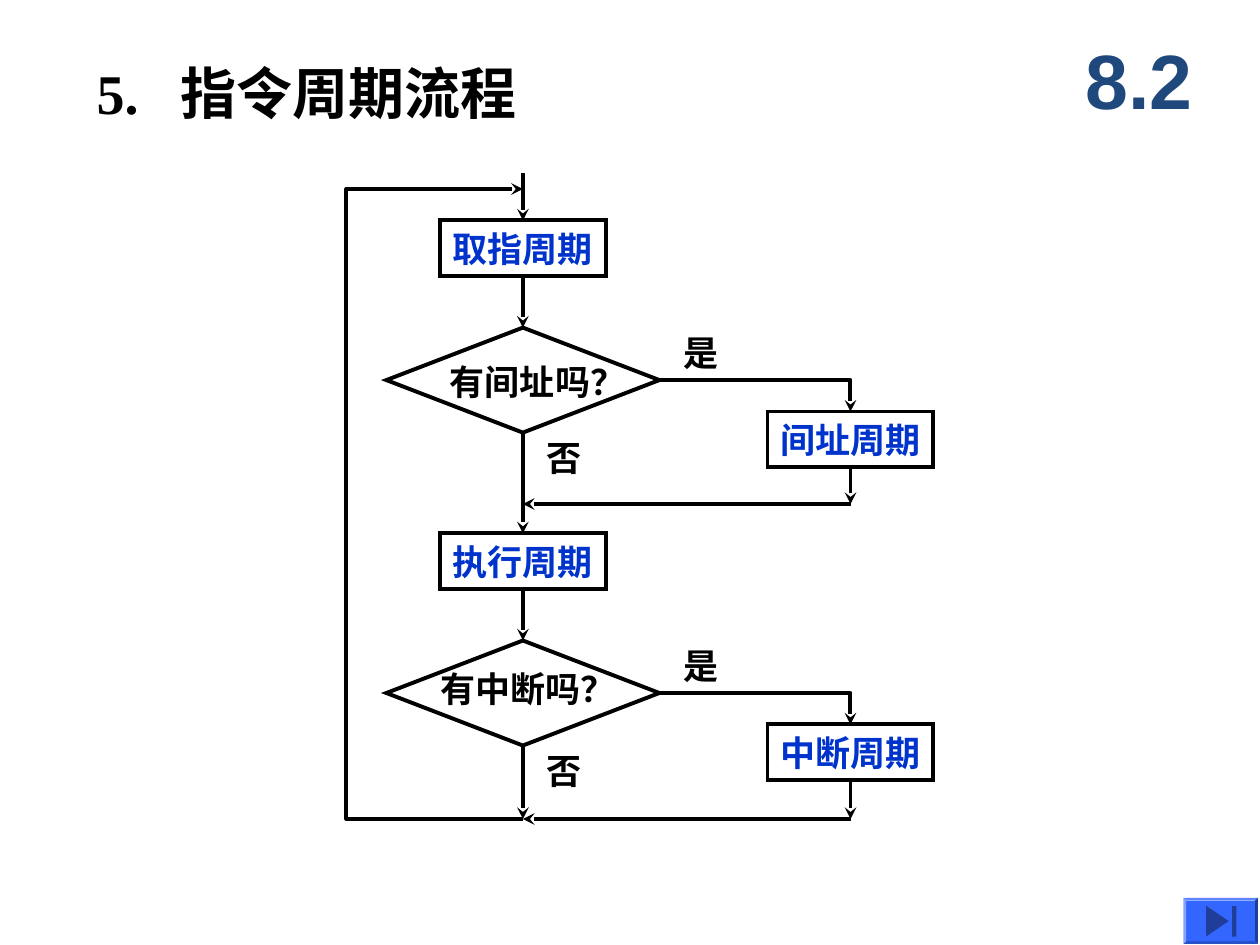
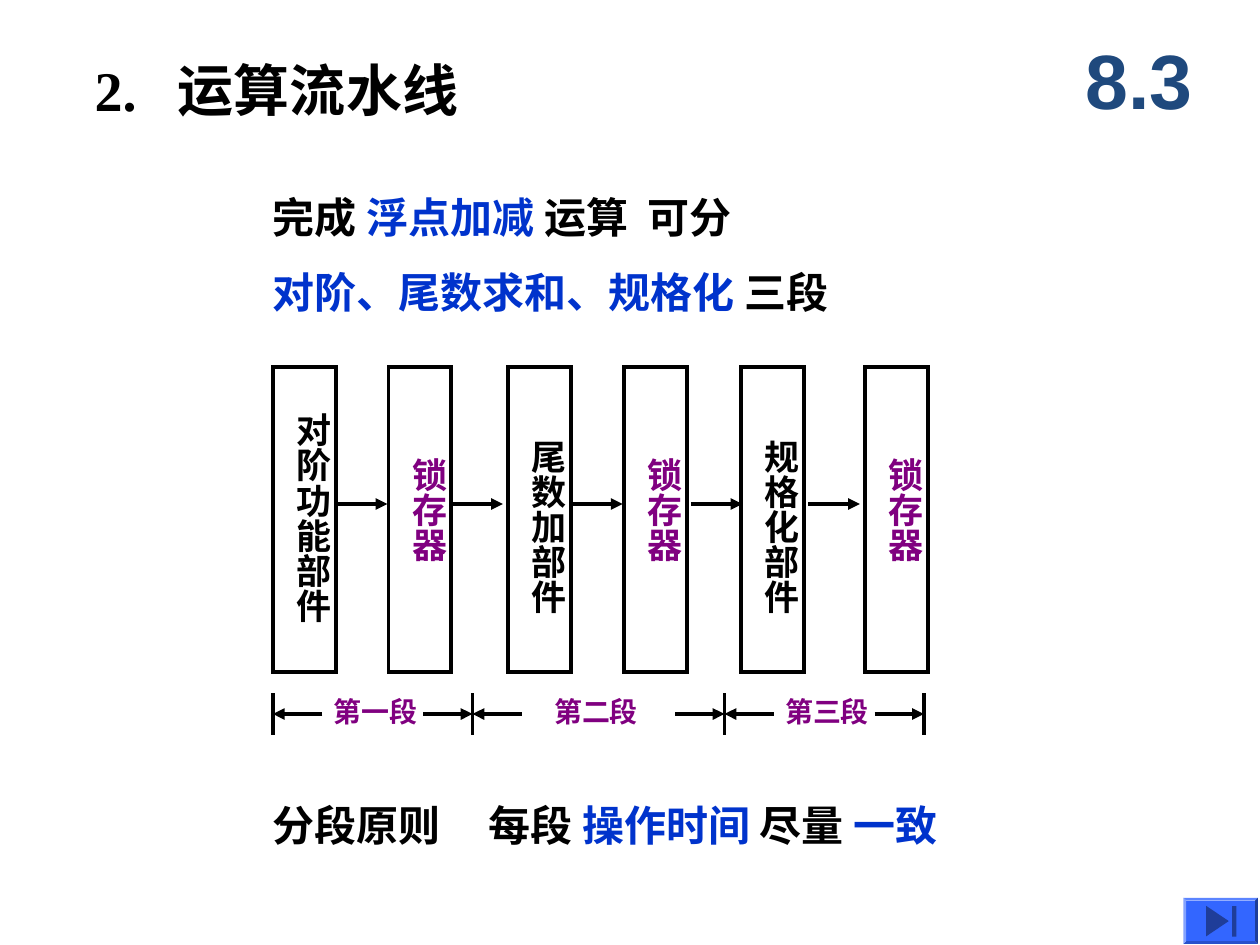
"""Build two slides: the instruction cycle flowchart and the arithmetic pipeline."""
from dataclasses import dataclass

from lxml import etree
from pptx import Presentation
from pptx import util as u
from pptx.dml.color import RGBColor
from pptx.enum import shapes, text
from pptx.oxml import ns


@dataclass(frozen=True)
class Theme:
    ink: str = "000000"
    accent: str = "0033CC"
    stage: str = "800080"
    section: str = "1F497D"
    button: str = "3366FF"
    icon: str = "1F3D99"
    body_font: str = "Times New Roman"
    section_font: str = "Arial"
    section_size: int = 44
    title_size: int = 32
    body_size: int = 24
    label_size: int = 20
    note_size: int = 16
    line: float = 2.25


T = Theme()
SHAPE = shapes.MSO_SHAPE
CENTER = text.PP_ALIGN.CENTER
MIDDLE = text.MSO_ANCHOR.MIDDLE

prs = Presentation()
prs.slide_width, prs.slide_height = u.Inches(10), u.Inches(7.5)
COLUMNS = 120
cell = prs.slide_width // COLUMNS


def write(s, words, box, kind=None, size=T.label_size, colors=(T.ink, T.accent),
          font=T.body_font, align=None, anchor=text.MSO_ANCHOR.TOP, wrap=False,
          inset=(1.2, 0.6, 1.2, 0.6), spacing=None, tab=None, vert=None):
    """Write words in a text box or outlined shape; each | switches the colour."""
    area = [int(v * cell) for v in box]
    if kind is None:
        sp = s.shapes.add_textbox(*area)
    else:
        sp = s.shapes.add_shape(kind, *area)
        sp.shadow.inherit = False
        sp.fill.background()
        sp.line.color.rgb = RGBColor.from_string(T.ink)
        sp.line.width = u.Pt(T.line)
        etree.SubElement(sp.line._get_or_add_ln(), ns.qn("a:miter"), lim="800000")
    tf = sp.text_frame
    tf.word_wrap, tf.vertical_anchor = wrap, anchor
    tf.margin_left, tf.margin_top, tf.margin_right, tf.margin_bottom = [
        int(v * cell) for v in inset]
    if vert:
        sp.element.txBody.bodyPr.set("vert", vert)
    for i, row in enumerate(words.split("\n")):
        p = tf.add_paragraph() if i else tf.paragraphs[0]
        p.alignment = align or text.PP_ALIGN.LEFT
        p.line_spacing = spacing
        if tab:
            tabs = etree.SubElement(p._p.get_or_add_pPr(), ns.qn("a:tabLst"))
            etree.SubElement(tabs, ns.qn("a:tab"), pos=str(int(tab * cell)), algn="l")
        for j, part in enumerate(row.split("|")):
            if part:
                r = p.add_run()
                r.text = part
                r.font.name, r.font.size, r.font.bold = font, u.Pt(size), True
                r.font.color.rgb = RGBColor.from_string(colors[j % 2])
    return sp


def link(s, points, arrow=None, begin=None, end=None):
    """Draw a straight connector or a bent path, with an optional arrowhead."""
    pts = [(int(x * cell), int(y * cell)) for x, y in points]
    if len(pts) == 2:
        c = s.shapes.add_connector(shapes.MSO_CONNECTOR.STRAIGHT, *pts[0], *pts[1])
        if begin:
            c.begin_connect(*begin)
        if end:
            c.end_connect(*end)
        etree.SubElement(c.element.spPr, ns.qn("a:effectLst"))
    else:
        outline = s.shapes.build_freeform(*pts[0])
        outline.add_line_segments(pts[1:], close=False)
        c = outline.convert_to_shape()
        c.shadow.inherit = False
        c.fill.background()
    c.line.color.rgb = RGBColor.from_string(T.ink)
    c.line.width = u.Pt(T.line)
    if arrow:
        etree.SubElement(c.line._get_or_add_ln(), ns.qn("a:tailEnd"), type=arrow)


slides = []
for title, title_x, title_y, section in (("5.\t指令周期流程", 9.2, 5.1, "8.2"),
                                         ("2.\t运算流水线", 9, 4.8, "8.3")):
    s = prs.slides.add_slide(prs.slide_layouts[6])
    write(s, title, (title_x, title_y, 75, 7.4), size=T.title_size, anchor=MIDDLE, wrap=True,
          inset=(0, 0.6, 0, 0.6), tab=7.95)
    write(s, section, (101, 2, 15, 11), size=T.section_size, colors=(T.section,),
          font=T.section_font, align=CENTER, anchor=MIDDLE, wrap=True)
    for kind, color, turn, box in (
            (SHAPE.BEVEL, T.button, 0, (112.7, 85.5, 7.1, 4.4)),
            (SHAPE.ISOSCELES_TRIANGLE, T.icon, 90, (114.5, 86.65, 2.9, 2.15)),
            (SHAPE.RECTANGLE, T.icon, 0, (117.35, 86.3, 0.4, 2.9))):
        sp = s.shapes.add_shape(kind, *[int(v * cell) for v in box])
        sp.rotation = turn
        sp.shadow.inherit = False
        sp.fill.solid()
        sp.fill.fore_color.rgb = RGBColor.from_string(color)
        sp.line.fill.background()
        if kind == SHAPE.BEVEL:
            sp.adjustments[0] = 0.06
    slides.append(s)
flow, pipeline = slides

main_x, side_x, loop_x = 49.8, 81, 33
box_w, box_h = 15.8, 5.3
test_w, test_h = 26, 10
entry_y, loop_y = 16.5, 18
previous = None
for step, step_y, test, test_y, test_inset, side, side_y, join_y in (
        ("取指周期", 21, "有间址吗？", 31.2, (2.8, 0.2, 0, 0), "间址周期", 39.2, 48),
        ("执行周期", 50.8, "有中断吗？", 61, (1, 0, 0, 0.9), "中断周期", 69, 78)):
    cycle = write(flow, step, (main_x - box_w / 2, step_y, box_w, box_h), SHAPE.RECTANGLE,
                  colors=(T.accent,), align=CENTER, anchor=MIDDLE)
    decision = write(flow, test, (main_x - test_w / 2, test_y, test_w, test_h), SHAPE.DIAMOND,
                     align=CENTER, anchor=MIDDLE, inset=test_inset)
    detour = write(flow, side, (side_x - box_w / 2, side_y, box_w, box_h), SHAPE.RECTANGLE,
                   colors=(T.accent,), align=CENTER, anchor=MIDDLE)
    link(flow, [(main_x, entry_y), (main_x, step_y)], "stealth",
         begin=previous and (previous, 2), end=(cycle, 0))
    link(flow, [(main_x, step_y + box_h), (main_x, test_y)], "stealth",
         begin=(cycle, 2), end=(decision, 0))
    branch_y = test_y + test_h / 2
    link(flow, [(main_x + test_w / 2, branch_y), (side_x, branch_y), (side_x, side_y)], "stealth")
    link(flow, [(side_x, side_y + box_h), (side_x, join_y)], "stealth", begin=(detour, 2))
    link(flow, [(side_x, join_y), (main_x, join_y)], "stealth")
    write(flow, "是", (63.9, test_y - 0.2, 5.8, box_h))
    write(flow, "否", (50.9, test_y + test_h - 0.2, 5.8, box_h))
    previous = decision
link(flow, [(main_x, test_y + test_h), (main_x, join_y)], "stealth", begin=(previous, 2))
link(flow, [(main_x, join_y), (loop_x, join_y), (loop_x, loop_y), (main_x, loop_y)], "stealth")

left = 26
plain = dict(size=T.body_size, anchor=MIDDLE, wrap=True, inset=(0, 0.6, 0, 0.6))
write(pipeline, "完成 |浮点加减 |运算\t可分\n|对阶、尾数求和、规格化 |三段",
      (left, 15, 85, 16), spacing=1.5, tab=35.7, **plain)
write(pipeline, "分段原则\t每段 |操作时间 |尽量 |一致", (left, 75, 75, 7), tab=20.55, **plain)

bar_y, bar_w, bar_h, flow_y = 35, 6, 29, 48
for name, bar_x, color, text_top in (
        ("对阶功能部件", left, T.ink, 4.35), ("锁存器", 37, T.stage, 8.6),
        ("尾数加部件", 48.4, T.ink, 6.85), ("锁存器", 59.4, T.stage, 8.6),
        ("规格化部件", 70.6, T.ink, 6.85), ("锁存器", 82.4, T.stage, 8.6)):
    write(pipeline, name, (bar_x, bar_y, bar_w, bar_h), SHAPE.RECTANGLE, colors=(color,),
          wrap=True, vert="eaVert", inset=(0.6, text_top, 0.2, 0))
for start in (32, 43, 54.4, 65.8, 77):
    link(pipeline, [(start, flow_y), (start + 4.9, flow_y)], "triangle")

ticks = (left, 45, 69, 88)
span_y, reach = 68, 4.7
for tick in ticks:
    link(pipeline, [(tick, span_y - 2), (tick, span_y + 2)])
for name, start, end, label_x in zip(("第一段", "第二段", "第三段"), ticks, ticks[1:],
                                     (30.6, 51.6, 73.6)):
    link(pipeline, [(start + reach, span_y), (start, span_y)], "triangle")
    link(pipeline, [(end - reach, span_y), (end, span_y)], "triangle")
    write(pipeline, name, (label_x, 65.6, 10.3, 4.4), size=T.note_size, colors=(T.stage,),
          inset=(1.2, 0.6, 0, 0.6))

prs.save("out.pptx")
